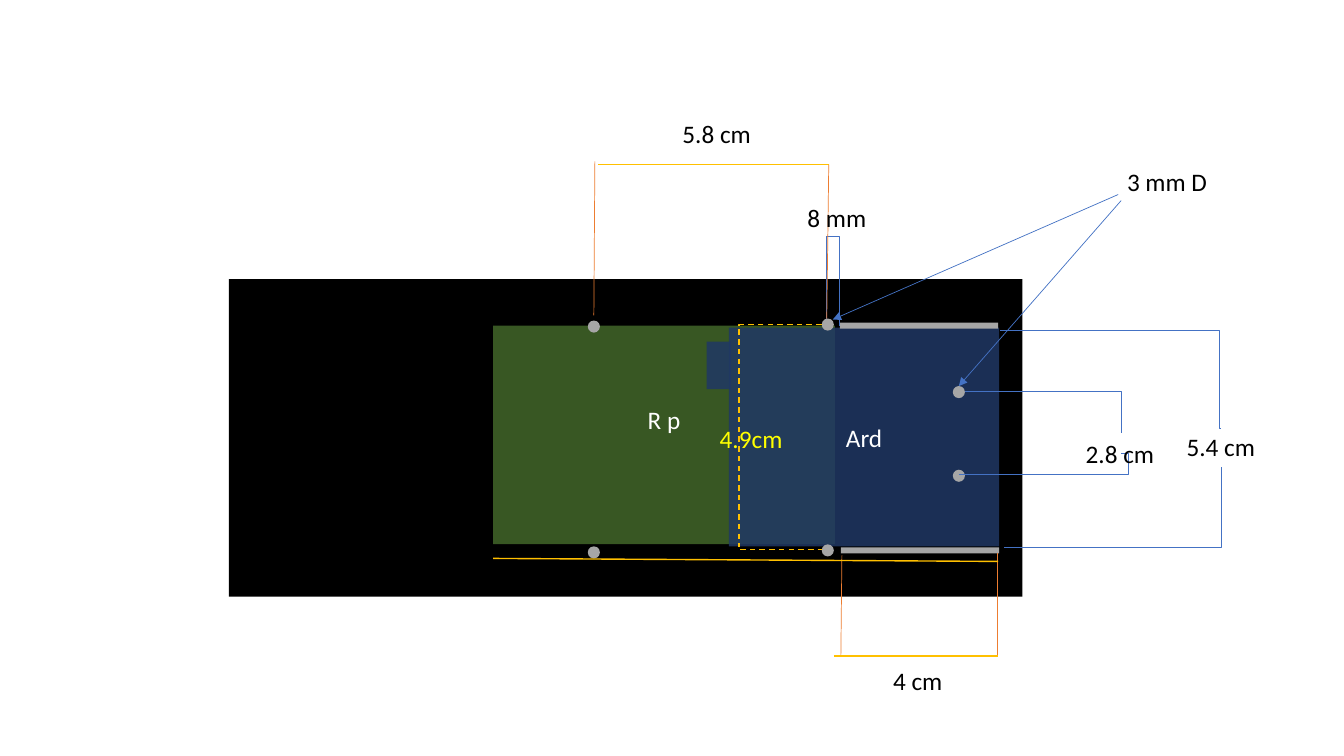
import pptx
import pptx.util
import pptx.dml.color
import pptx.enum.dml
import pptx.enum.shapes
import pptx.enum.text
import pptx.oxml
import pptx.oxml.ns
from dataclasses import dataclass
from lxml import etree

PX = 9144  # 100 px to the inch
SHAPES = pptx.enum.shapes.MSO_SHAPE
CONNECTORS = pptx.enum.shapes.MSO_CONNECTOR


@dataclass(frozen=True)
class Theme:
    font: str = "Calibri"
    text_size: int = 18
    thin: float = 0.5
    medium: float = 1
    black: str = "000000"
    white: str = "FFFFFF"
    yellow: str = "FFFF00"
    green: str = "385723"
    navy: str = "203864"
    gray: str = "A6A6A6"
    blue: str = "4472C4"
    gold: str = "FFC000"
    orange: str = "ED7D31"


def rgb(color):
    return pptx.dml.color.RGBColor.from_string(color)


def apply_format(target, values):
    for name, value in values.items():
        setattr(target, name, value)


def add_xml(parent, tag, **attributes):
    return etree.SubElement(parent, pptx.oxml.ns.qn(tag), attributes)


class Drawing:
    def __init__(self, slide, theme):
        self.slide = slide
        self.theme = theme

    def set_text(self, frame, text, color, align):
        paragraph = frame.paragraphs[0]
        paragraph.alignment = align
        run = paragraph.add_run()
        run.text = text
        apply_format(run.font, {"name": self.theme.font,
                                "size": pptx.util.Pt(self.theme.text_size)})
        run.font.color.rgb = rgb(color)

    def solid(self, box, color, kind=SHAPES.RECTANGLE, opacity=100):
        shape = self.slide.shapes.add_shape(kind, *(value * PX for value in box))
        shape.shadow.inherit = False
        shape.fill.solid()
        shape.fill.fore_color.rgb = rgb(color)
        shape.line.fill.background()
        if opacity < 100:
            fill_color = shape.element.spPr.find(".//" + pptx.oxml.ns.qn("a:srgbClr"))
            add_xml(fill_color, "a:alpha", val=str(opacity * 1000))
        return shape

    def board(self, box, color, text, opacity=100, bottom=5):
        shape = self.solid(box, color, opacity=opacity)
        apply_format(shape.text_frame, {
            "vertical_anchor": pptx.enum.text.MSO_ANCHOR.MIDDLE,
            "margin_bottom": bottom * PX})
        self.set_text(shape.text_frame, text, self.theme.white,
                      pptx.enum.text.PP_ALIGN.CENTER)

    def label(self, left, top, width, text, color):
        box = (left, top, width, 40)
        shape = self.slide.shapes.add_textbox(*(value * PX for value in box))
        apply_format(shape.text_frame, {
            "word_wrap": False,
            "auto_size": pptx.enum.text.MSO_AUTO_SIZE.SHAPE_TO_FIT_TEXT})
        self.set_text(shape.text_frame, text, color, pptx.enum.text.PP_ALIGN.LEFT)

    def stroke(self, shape, color, width, dashed=False):
        shape.line.color.rgb = rgb(color)
        shape.line.width = pptx.util.Pt(width)
        if dashed:
            shape.line.dash_style = pptx.enum.dml.MSO_LINE.DASH

    def line(self, start, end, color, width, dashed=False, arrow=False,
             kind=CONNECTORS.STRAIGHT):
        connector = self.slide.shapes.add_connector(
            kind, *(value * PX for value in (*start, *end)))
        self.stroke(connector, color, width, dashed)
        properties = connector.element.spPr
        if arrow:
            add_xml(properties.find(pptx.oxml.ns.qn("a:ln")), "a:tailEnd", type="triangle")
        add_xml(properties, "a:effectLst")
        return connector

    def elbow(self, start, end, color, width, dashed=False, turn=None):
        """Bend once at a corner, or twice with the upright at turn percent."""
        connector = self.line(start, end, color, width, dashed, kind=CONNECTORS.ELBOW)
        geometry = connector.element.spPr.find(pptx.oxml.ns.qn("a:prstGeom"))
        if turn is None:
            geometry.set("prst", "bentConnector2")
        else:
            adjustments = geometry.find(pptx.oxml.ns.qn("a:avLst"))
            if adjustments is None:
                adjustments = add_xml(geometry, "a:avLst")
            add_xml(adjustments, "a:gd", name="adj1", fmla=f"val {round(turn * 1000)}")

    def bracket(self, points, color, width):
        builder = self.slide.shapes.build_freeform(*points[0], scale=PX)
        builder.add_line_segments(points[1:], close=False)
        shape = builder.convert_to_shape()
        shape.shadow.inherit = False
        shape.fill.background()
        self.stroke(shape, color, width)


def draw_boards(drawing):
    theme = drawing.theme
    drawing.solid((227, 277, 787, 315), theme.black)
    drawing.board((489, 323, 339, 217), theme.green, "R p", bottom=35)
    drawing.board((723, 325, 268, 217), theme.navy, "Ard", opacity=85)
    drawing.solid((701, 339, 24, 47), theme.navy, opacity=85)
    for left, top in ((833, 320), (834, 543)):
        drawing.solid((left, top, 157, 6), theme.gray)
    for left, top in ((945, 383), (945, 466), (815, 540),
                      (815, 316), (583, 542), (583, 318)):
        drawing.solid((left, top, 12, 12), theme.gray, SHAPES.OVAL)


def draw_dimensions(drawing):
    theme = drawing.theme
    for start, end, turn in (
            ((957, 388), (1112, 430), None),
            ((951, 471), (1112, 450), 104.4),
            ((992, 328), (1211, 425), 99.3),
            ((996, 543), (1211, 463), None)):
        drawing.elbow(start, end, theme.blue, theme.thin, turn=turn)
    drawing.bracket([(820, 316), (820, 234), (833, 234), (833, 323)],
                    theme.blue, theme.thin)
    for start, end in (((1112, 199), (951, 383)), ((1109, 193), (826, 317))):
        drawing.line(start, end, theme.blue, theme.thin, arrow=True)
    drawing.elbow((815, 322), (733, 543), theme.gold, theme.medium, dashed=True)
    drawing.line((734, 545), (815, 545), theme.gold, theme.medium, dashed=True)
    for start, end in (((820, 316), (822, 163)), ((589, 313), (590, 160)),
                       ((834, 651), (835, 551)), ((989, 651), (989, 549))):
        drawing.line(start, end, theme.orange, theme.thin)
    for start, end in (((593, 163), (822, 163)), ((827, 651), (990, 651)),
                       ((489, 554), (990, 557))):
        drawing.line(start, end, theme.gold, theme.medium)


def draw_labels(drawing):
    theme = drawing.theme
    for left, top, width, text in (
            (1067, 430, 89, "2.8 cm"), (1108, 160, 100, "3 mm D"),
            (1167, 423, 89, "5.4 cm"), (791, 196, 85, "8 mm"),
            (667, 112, 95, "5.8 cm"), (876, 655, 70, "4 cm")):
        drawing.label(left, top, width, text, theme.black)
    drawing.label(704, 415, 83, "4.9cm", theme.yellow)


def main():
    presentation = pptx.Presentation()
    apply_format(presentation, {"slide_width": 1333 * PX, "slide_height": 750 * PX})
    slide = presentation.slides.add_slide(presentation.slide_layouts[6])
    drawing = Drawing(slide, Theme())
    draw_boards(drawing)
    draw_dimensions(drawing)
    draw_labels(drawing)
    presentation.save("out.pptx")


if __name__ == "__main__":
    main()
